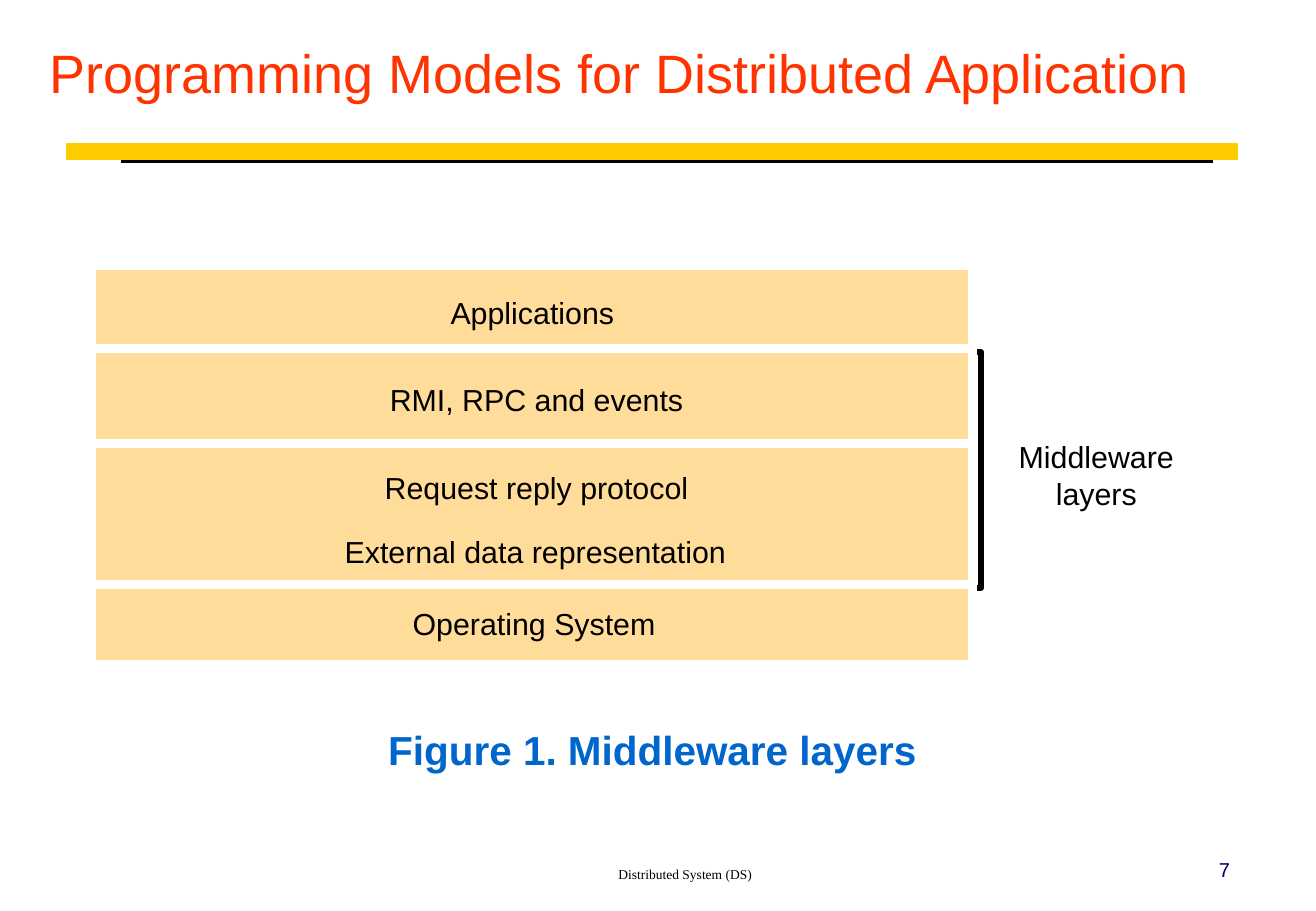
from dataclasses import dataclass

from lxml.etree import SubElement
from pptx import Presentation
from pptx.dml.color import RGBColor
from pptx.enum.shapes import MSO_CONNECTOR, MSO_SHAPE
from pptx.enum.text import MSO_ANCHOR, MSO_AUTO_SIZE, PP_ALIGN
from pptx.oxml.ns import qn
from pptx.slide import Slide
from pptx.text.text import TextFrame
from pptx.util import Inches, Pt


@dataclass
class Rule:
    left: float
    right: float
    top: float
    color: str
    weight: float


@dataclass
class Block:
    left: float
    top: float
    width: float
    height: float
    fill: str | None = "FFDC99"
    line: str = "FFFFFF"
    weight: float = 5.61


@dataclass
class Label:
    lines: list[str]
    left: float
    top: float
    width: float
    height: float = 0.3
    size: float = 18
    color: str = "000000"
    font: str = "Arial"
    bold: bool = False
    align: PP_ALIGN = PP_ALIGN.CENTER
    anchor: MSO_ANCHOR = MSO_ANCHOR.TOP
    margins: tuple[float, float] = (0, 0)
    wrap: bool = False


PADDED = (0.1, 0.05)
STACK_LEFT, STACK_WIDTH = 0.75, 7.26

RULES = [
    Rule(0.54, 10.2, 1.25, "FFCC00", 10),
    Rule(1, 9.99, 1.33, "000000", 2.25),
]
BLOCKS = [
    # The stack covers all but the right side of this bracket.
    Block(7.67, 2.9, 0.41, 1.94, fill=None, line="000000", weight=3.37),
    Block(STACK_LEFT, 2.18, STACK_WIDTH, 3.29),
    Block(STACK_LEFT, 3.59, STACK_WIDTH, 1.22),
    Block(STACK_LEFT, 2.87, STACK_WIDTH, 0.78),
]
TITLE = Label(["Programming Models for Distributed Application"], 0.31, 0.27, 9.69, 0.64,
              size=32, color="FF3300", align=PP_ALIGN.LEFT, anchor=MSO_ANCHOR.BOTTOM,
              margins=PADDED, wrap=True)
LABELS = [
    Label(["Applications"], 3.71, 2.42, 1.35),
    Label(["RMI, RPC and events"], 3.21, 3.14, 2.42),
    Label(["Request reply protocol"], 3.17, 3.86, 2.5),
    Label(["External data representation"], 2.84, 4.39, 3.14),
    Label(["Operating System"], 3.4, 4.98, 2),
    Label(["Middleware", "layers"], 8.39, 3.61, 1.28, 0.58),
    Label(["Figure 1. Middleware layers"], 3.1, 5.92, 4.55, 0.5, size=24,
          color="0066CC", bold=True, margins=PADDED),
    Label(["Distributed System (DS)"], 2.35, 7, 6.59, 0.31, size=8,
          font="Times New Roman", anchor=MSO_ANCHOR.BOTTOM, margins=PADDED, wrap=True),
    Label(["7"], 9.03, 7, 1.2, 0.31, size=11.9, color="000066", align=PP_ALIGN.RIGHT,
          anchor=MSO_ANCHOR.BOTTOM, margins=PADDED, wrap=True),
]


def rgb(color: str) -> RGBColor:
    return RGBColor.from_string(color)


def draw_rule(slide: Slide, rule: Rule) -> None:
    connector = slide.shapes.add_connector(
        MSO_CONNECTOR.STRAIGHT, Inches(rule.left), Inches(rule.top),
        Inches(rule.right), Inches(rule.top))
    connector.line.color.rgb = rgb(rule.color)
    connector.line.width = Pt(rule.weight)
    SubElement(connector._element.spPr, qn("a:effectLst"))


def draw_block(slide: Slide, block: Block) -> None:
    shape = slide.shapes.add_shape(
        MSO_SHAPE.RECTANGLE, Inches(block.left), Inches(block.top),
        Inches(block.width), Inches(block.height))
    shape.shadow.inherit = False
    if block.fill is None:
        shape.fill.background()
    else:
        shape.fill.solid()
        shape.fill.fore_color.rgb = rgb(block.fill)
    shape.line.color.rgb = rgb(block.line)
    shape.line.width = Pt(block.weight)


def write_text(frame: TextFrame, label: Label) -> None:
    frame.word_wrap = label.wrap
    frame.auto_size = MSO_AUTO_SIZE.NONE
    frame.vertical_anchor = label.anchor
    frame.margin_left = frame.margin_right = Inches(label.margins[0])
    frame.margin_top = frame.margin_bottom = Inches(label.margins[1])
    for index, line in enumerate(label.lines):
        paragraph = frame.add_paragraph() if index else frame.paragraphs[0]
        paragraph.alignment = label.align
        run = paragraph.add_run()
        run.text = line
        run.font.name = label.font
        run.font.size = Pt(label.size)
        run.font.bold = label.bold
        run.font.color.rgb = rgb(label.color)


def draw_label(slide: Slide, label: Label) -> None:
    box = slide.shapes.add_textbox(
        Inches(label.left), Inches(label.top), Inches(label.width), Inches(label.height))
    write_text(box.text_frame, label)


def place_title(slide: Slide, label: Label) -> None:
    title = slide.shapes.title
    title.left, title.top = Inches(label.left), Inches(label.top)
    title.width, title.height = Inches(label.width), Inches(label.height)
    write_text(title.text_frame, label)


def main() -> None:
    presentation = Presentation()
    presentation.slide_width = Inches(10.84)
    presentation.slide_height = Inches(7.5)
    title_only = presentation.slide_layouts.get_by_name("Title Only")
    slide = presentation.slides.add_slide(title_only)
    place_title(slide, TITLE)
    for rule in RULES:
        draw_rule(slide, rule)
    for block in BLOCKS:
        draw_block(slide, block)
    for label in LABELS:
        draw_label(slide, label)
    presentation.save("out.pptx")


if __name__ == "__main__":
    main()
